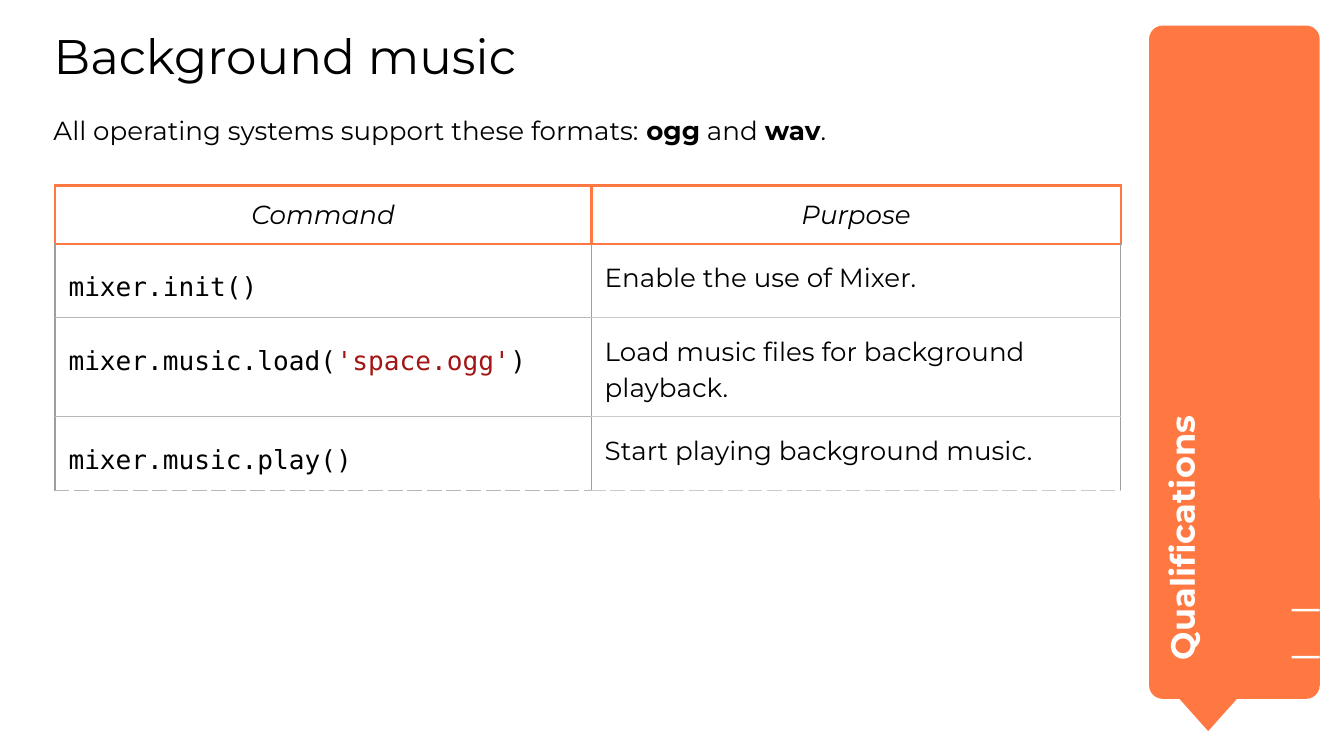
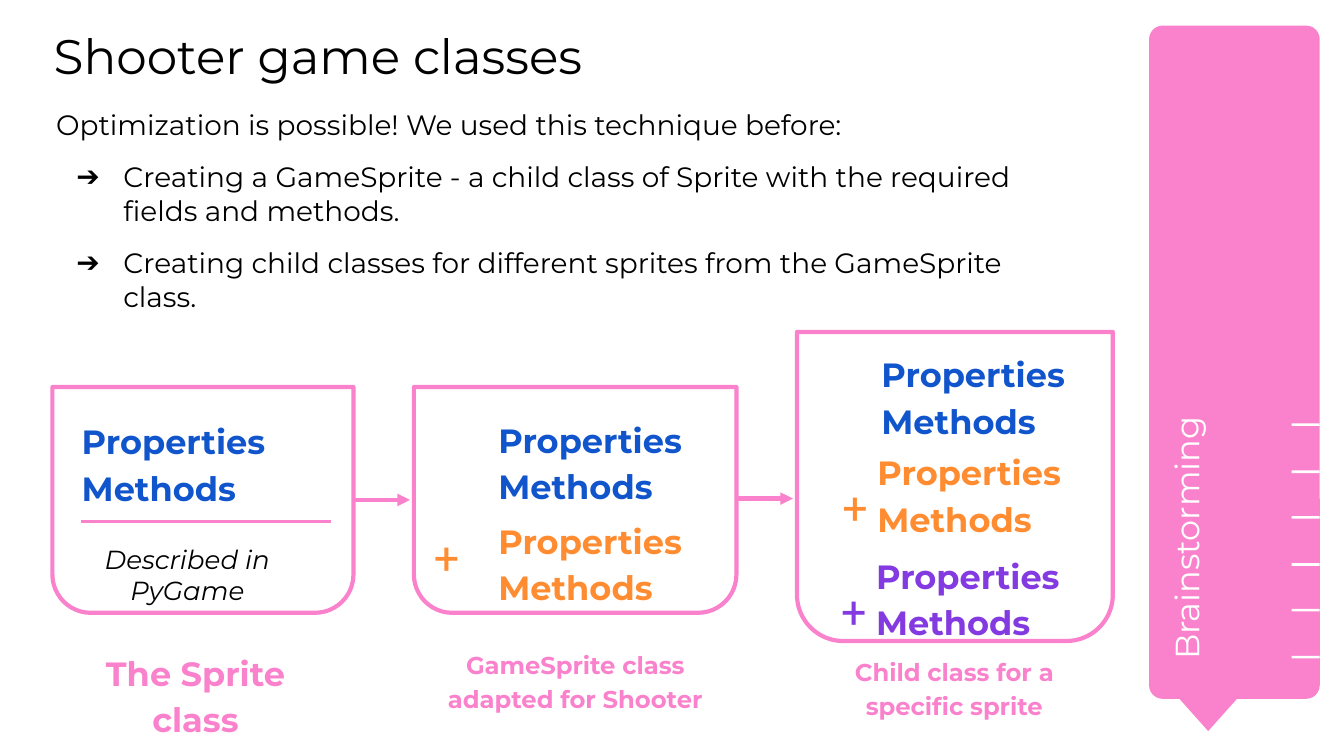
import pptx
import pptx.util
import pptx.dml.color
import pptx.enum.shapes
import pptx.enum.text
import pptx.oxml
import pptx.oxml.ns
from lxml import etree

PX = 9144  # 100 px to the inch
COLORS = {
    "black": "000000", "white": "FFFFFF", "orange": "FF7842", "pink": "FA82CC",
    "blue": "1155CC", "amber": "FF8C31", "violet": "833AE0", "string": "A31515",
    "side": "9E9E9E", "code_rule": "B7B7B7", "text_rule": "CCCCCC",
}
FONT, MONO, PLUS_FONT = "Montserrat", "DejaVu Sans Mono", "Roboto"
SHAPE = pptx.enum.shapes.MSO_SHAPE
CENTER = pptx.enum.text.PP_ALIGN.CENTER


def px(n):
    return pptx.util.Emu(n * PX)


def box(*lengths):
    return [px(n) for n in lengths]


def rgb(name):
    return pptx.dml.color.RGBColor.from_string(COLORS[name])


def child(parent, tag, **attrs):
    return etree.SubElement(parent, pptx.oxml.ns.qn("a:" + tag), attrs)


# Text
def add_run(p, text, size, color="black", font=FONT, bold=False, italic=False):
    r = p.add_run()
    r.text = text
    f = r.font
    f.size, f.name, f.bold, f.italic = pptx.util.Pt(size), font, bold, italic
    f.color.rgb = rgb(color)


def add_text(s, at, paras, size, color="black", font=FONT, bold=False, italic=False,
             align=None, spacing=None, after=None, inset=10, rotation=0):
    """Each paragraph is a string or a list of (text, bold) runs."""
    sp = s.shapes.add_textbox(*box(*at))
    sp.rotation = rotation
    tf = sp.text_frame
    tf.word_wrap = True
    tf.margin_left = tf.margin_right = tf.margin_top = tf.margin_bottom = px(inset)
    for i, para in enumerate(paras):
        p = tf.add_paragraph() if i else tf.paragraphs[0]
        p.alignment, p.line_spacing = align, spacing
        if after:
            p.space_after = pptx.util.Pt(after)
        for text, strong in [(para, bold)] if isinstance(para, str) else para:
            add_run(p, text, size, color, font, strong, italic)
    return tf


def make_bullet(p):
    p.space_before = pptx.util.Pt(10)
    pPr = p._p.get_or_add_pPr()
    pPr.set("marL", str(px(50)))
    pPr.set("indent", str(px(-35)))
    child(child(pPr, "buClr"), "srgbClr", val=COLORS["black"])
    child(pPr, "buFont", typeface=FONT)
    child(pPr, "buChar", char="➔")


# Shapes and lines
def add_shape(shapes, kind, at, fill=None, line=None, adjust=()):
    sp = shapes.add_shape(kind, *box(*at))
    sp.shadow.inherit = False
    for i, value in enumerate(adjust):
        sp.adjustments[i] = value
    if fill:
        sp.fill.solid()
        sp.fill.fore_color.rgb = rgb(fill)
    else:
        sp.fill.background()
    if line:
        sp.line.color.rgb = rgb(line)
        sp.line.width = pptx.util.Pt(2.25)
    else:
        sp.line.fill.background()


def add_line(s, x1, x2, y, width, arrow=False):
    straight = pptx.enum.shapes.MSO_CONNECTOR.STRAIGHT
    cx = s.shapes.add_connector(straight, *box(x1, y, x2, y))
    cx.line.color.rgb = rgb("pink")
    cx.line.width = pptx.util.Pt(width)
    if arrow:
        child(cx.line._get_or_add_ln(), "tailEnd", type="triangle")
    child(cx._element.spPr, "effectLst")


# Parts both slides share
def start_slide(prs, title, label, label_at, color, ticks, bold):
    s = prs.slides.add_slide(prs.slide_layouts[6])
    tag = s.shapes.add_group_shape().shapes
    add_shape(tag, SHAPE.ROUNDED_RECTANGLE, (855, 19, 127, 501), color, adjust=[0.08])
    add_shape(tag, SHAPE.FLOWCHART_MERGE, (866, 507, 66, 37), color)
    add_text(s, label_at, [label], 18, "white", bold=bold, rotation=270)
    for k in reversed(range(ticks)):
        add_shape(s.shapes, SHAPE.RECTANGLE, (961, round(488 - 34.6 * k), 21, 2), "white")
    add_text(s, (40, 19, 794, 55), [title], 26, inset=0)
    return s


# Command table
def set_borders(cell, sides):
    tcPr = cell._tc.get_or_add_tcPr()
    for side, (color, width, dash) in zip("LRTB", sides):
        ln = child(tcPr, "ln" + side, w=str(pptx.util.Pt(width)))
        child(child(ln, "solidFill"), "srgbClr", val=COLORS[color])
        child(ln, "prstDash", val=dash)


def fill_cell(cell, runs, borders, font=FONT, align=None, spacing=None, italic=False):
    set_borders(cell, borders)
    cell.fill.background()
    cell.margin_left = cell.margin_right = cell.margin_top = cell.margin_bottom = px(10)
    p = cell.text_frame.paragraphs[0]
    p.alignment, p.line_spacing = align, spacing
    for text, color in runs:
        add_run(p, text, 14, color, font, italic=italic)


def add_command_table(s, header, rows):
    heights = [22] + [54] * len(rows)
    table = s.shapes.add_table(len(heights), 2, *box(41, 138, 793, sum(heights))).table
    table.first_row = table.horz_banding = False
    for col, width in zip(table.columns, (399, 394)):
        col.width = px(width)
    for row, height in zip(table.rows, heights):
        row.height = px(height)
    head = ("orange", 1.5, "solid")
    side = ("side", 0.75, "solid")
    for c, text in enumerate(header):
        fill_cell(table.cell(0, c), [(text, "black")], [head] * 4, align=CENTER, italic=True)
    columns = [("code_rule", MONO, 1.5), ("text_rule", FONT, 1.15)]
    for i, row in enumerate(rows, 1):
        for c, (rule, font, spacing) in enumerate(columns):
            top = head if i == 1 else (rule, 0.75, "solid")
            bottom = (rule, 0.75, "dash" if i == len(rows) else "solid")
            fill_cell(table.cell(i, c), row[c], [side, side, top, bottom], font, spacing=spacing)


# Class diagram
def add_class_box(s, at, radius):
    add_shape(s.shapes, SHAPE.ROUND_2_SAME_RECTANGLE, at, line="pink", adjust=[0, radius])


def add_members(s, x, y, color, plus_at=None):
    add_text(s, (x, y, 166, 99), ["Properties", "Methods"], 18, color, bold=True, spacing=1.15)
    if plus_at:
        add_text(s, (*plus_at, 47, 58), ["+"], 24, color, PLUS_FONT, spacing=1.15)


def add_caption(s, at, text, size):
    add_text(s, at, [text], size, "pink", bold=True, align=CENTER, spacing=1.15, after=16)


def music_slide(prs):
    s = start_slide(prs, "Background music", "Qualifications", (709, 264, 382, 92),
                    "orange", 2, True)
    add_command_table(s, ("Command", "Purpose"), [
        ([("mixer.init()", "black")], [("Enable the use of Mixer.", "black")]),
        ([("mixer.music.load(", "black"), ("'space.ogg'", "string"), (")", "black")],
         [("Load music files for background playback.", "black")]),
        ([("mixer.music.play()", "black")], [("Start playing background music.", "black")]),
    ])
    add_text(s, (30, 75, 780, 67), [[
        ("All operating systems support these formats: ", False), ("ogg", True),
        (" and ", False), ("wav", True), (".", False)]], 14)


def classes_slide(prs):
    s = start_slide(prs, "Shooter game classes", "Brainstorming", (714, 290, 354, 67),
                    "pink", 6, False)
    tf = add_text(s, (32, 70, 766, 168), [
        "Optimization is possible! We used this technique before:",
        "Creating a GameSprite - a child class of Sprite with the required fields and methods.",
        "Creating child classes for different sprites from the GameSprite class.",
    ], 15)
    for p in tf.paragraphs[1:]:
        make_bullet(p)

    # Sprite
    add_class_box(s, (39, 288, 224, 168), 0.17)
    add_members(s, 51, 299, "blue")
    add_line(s, 60, 246, 388, 1.5)
    add_text(s, (61, 394, 157, 58), ["Described in PyGame"], 14, italic=True, align=CENTER)
    add_caption(s, (67, 471, 157, 82), "The Sprite class", 18)

    # GameSprite
    add_class_box(s, (308, 288, 240, 168), 0.17)
    add_members(s, 361, 298, "blue")
    add_members(s, 361, 373, "amber", (313, 378))
    add_caption(s, (296, 471, 264, 66), "GameSprite class adapted for Shooter", 13)

    # Child class
    add_class_box(s, (593, 247, 235, 230), 0.15)
    add_members(s, 646, 249, "blue")
    add_members(s, 643, 322, "amber", (617, 341))
    add_members(s, 642, 399, "violet", (616, 418))
    add_caption(s, (590, 476, 240, 58), "Child class for a specific sprite", 13)

    # Inheritance arrows
    add_line(s, 263, 305, 372, 2.25, arrow=True)
    add_line(s, 548, 590, 371, 2.25, arrow=True)


def main():
    prs = pptx.Presentation()
    prs.slide_width = px(1000)
    prs.slide_height = px(1000) * 9 // 16
    music_slide(prs)
    classes_slide(prs)
    prs.save("out.pptx")


if __name__ == "__main__":
    main()
